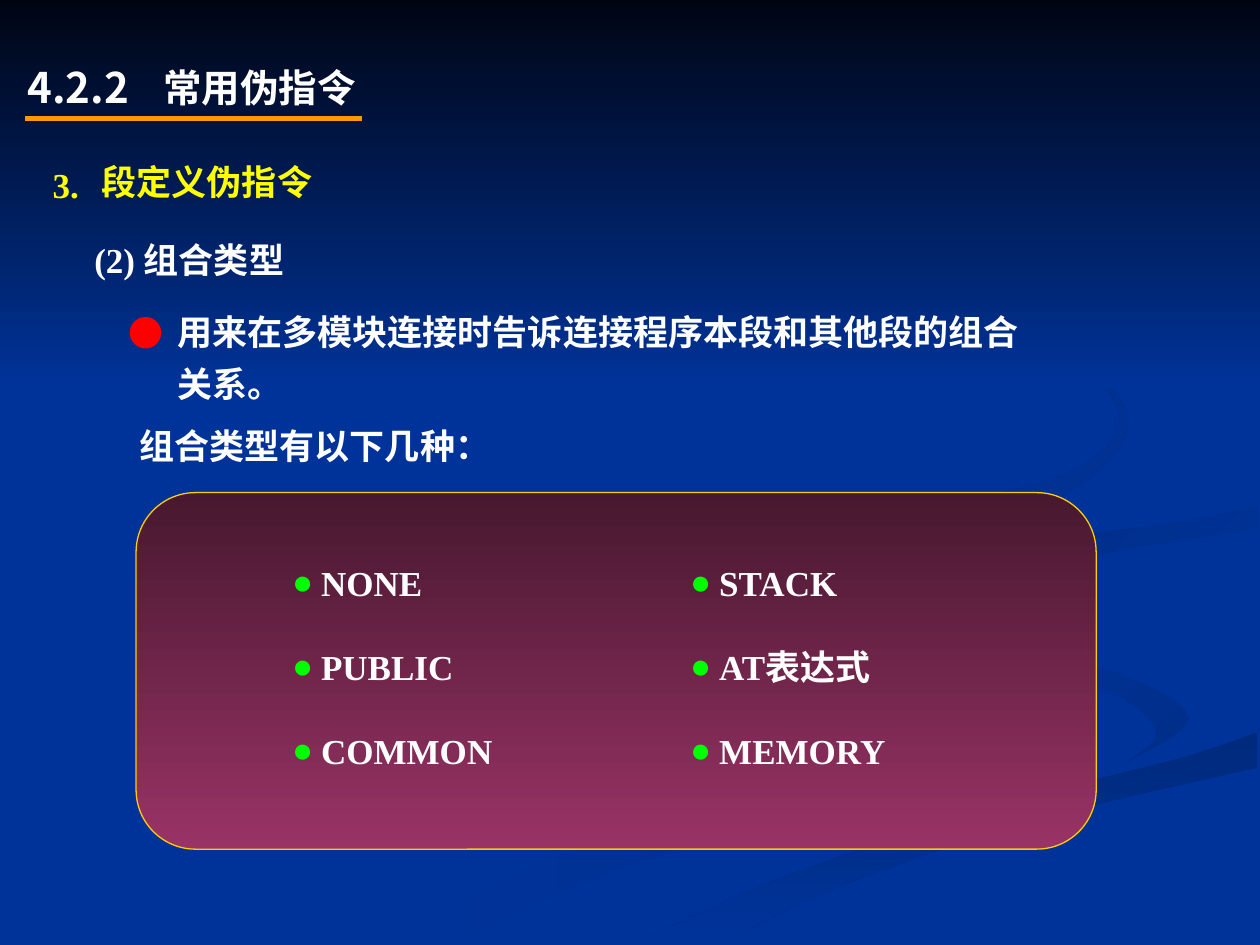
from dataclasses import dataclass

from lxml import etree
from pptx import Presentation
from pptx.dml.color import RGBColor
from pptx.enum.shapes import MSO_CONNECTOR, MSO_SHAPE
from pptx.enum.text import MSO_ANCHOR
from pptx.oxml.ns import qn
from pptx.util import Inches, Pt

LINE = MSO_CONNECTOR.STRAIGHT
RECT, ROUND = MSO_SHAPE.RECTANGLE, MSO_SHAPE.ROUNDED_RECTANGLE
TOP, MID = MSO_ANCHOR.TOP, MSO_ANCHOR.MIDDLE
SERIF, SANS = "Times New Roman", "Noto Sans CJK SC"
STEPS = 5
COLORS = {
    "blue": "003399", "night": "000514", "white": "FFFFFF", "yellow": "FFFF00",
    "red": "FF0000", "green": "00FF00", "orange": "FF9900", "gold": "FFCC00",
    "plum": "47182F", "rose": "993366", "wave1": "002E8B", "wave2": "002A7D",
    "wave3": "002D86", "wave4": "002B82",
}


@dataclass
class Wave:
    """A band between two smooth edges, with a two-colour fill."""
    start: str
    end: str
    angle: int
    outer: list
    inner: list


@dataclass
class Label:
    """One line of text and its place."""
    text: str
    left: float
    top: float
    width: float
    height: float
    size: int = 20
    color: str = "white"
    font: str = SERIF
    anchor: object = TOP


@dataclass
class Column:
    """A bulleted list of type names."""
    left: float
    items: list


WAVES = [
    Wave("blue", "wave1", 0,
         [(7.81, 5.53), (8, 5.81), (7.4, 6.18), (4.99, 6.87), (3.61, 7.49)],
         [(3, 7.49), (4.58, 6.74), (7.27, 6.02), (7.86, 5.66), (7.81, 5.53)]),
    Wave("blue", "wave1", 45,
         [(7.24, 4.64), (7.58, 4.98), (8.88, 5.35), (9.43, 5.7), (8.94, 6.05)],
         [(8.94, 6.05), (9.18, 5.81), (8.8, 5.49), (7.66, 5.12), (7.24, 4.64)]),
    Wave("wave2", "blue", 90,
         [(5.03, 7.49), (6.3, 6.93), (7.97, 6.38), (9.36, 6.02), (9.98, 5.81)],
         [(9.98, 6.09), (8.21, 6.51), (6.7, 7.02), (5.71, 7.49)]),
    Wave("wave3", "blue", 45,
         [(8.26, 4.96), (7.81, 4.6), (8.35, 4.3), (9.33, 4.15), (9.98, 4.02)],
         [(9.98, 4.2), (8.78, 4.39), (8.06, 4.68), (8.26, 4.96)]),
    Wave("wave4", "blue", 45,
         [(7.62, 2.33), (8.64, 2.91), (8.94, 3.44), (8.25, 4.02), (6.83, 4.3),
          (5.93, 4.7), (6.22, 5)],
         [(6.22, 5), (5.77, 4.62), (6.49, 4.2), (8.3, 3.82), (8.89, 3.35),
          (8.46, 2.79), (7.62, 2.33)]),
]
LABELS = [
    Label("4.2.2", 0.12, 0.44, 1.08, 0.5, size=24, font=SANS),
    Label("常用伪指令", 1.2, 0.44, 2.17, 0.5, size=22, font=SANS, anchor=MID),
    Label("3.", 0.32, 1.25, 0.75, 0.44, color="yellow"),
    Label("段定义伪指令", 0.71, 1.23, 2.17, 0.42, color="yellow", anchor=MID),
    Label("(2) 组合类型", 0.65, 1.86, 2.07, 0.4, anchor=MID),
    Label("组合类型有以下几种：", 1.01, 3.32, 3.2, 0.44),
]
COLUMNS = [
    Column(2.22, ["NONE", "PUBLIC", "COMMON"]),
    Column(5.38, ["STACK", "AT表达式", "MEMORY"]),
]


def shade(shape, start: str, end: str, angle: int) -> None:
    """Fill a shape with a linear gradient, angle clockwise."""
    shape.shadow.inherit = False
    shape.fill.gradient()
    shape.fill.gradient_angle = -angle % 360
    for stop, name in zip(shape.fill.gradient_stops, (start, end)):
        stop.color.rgb = RGBColor.from_string(COLORS[name])


def blend(a: float, b: float, c: float, d: float, t: float) -> float:
    """Return a Catmull-Rom value between b and c."""
    return b + t * (c - a + t * (2 * a - 5 * b + 4 * c - d
                                 + t * (3 * (b - c) + d - a))) / 2


def smooth(edge: list) -> list:
    """Return points along a smooth curve through the edge."""
    full = [edge[0], *edge, edge[-1]]
    curve = [tuple(blend(*axis, step / STEPS) for axis in zip(*full[i:i + 4]))
             for i in range(len(edge) - 1) for step in range(STEPS)]
    return curve + [edge[-1]]


def draw_wave(slide, wave: Wave) -> None:
    """Draw one background band."""
    points = [(Inches(x), Inches(y))
              for x, y in smooth(wave.outer) + smooth(wave.inner)]
    pen = slide.shapes.build_freeform(*points[0])
    pen.add_line_segments(points[1:])
    shape = pen.convert_to_shape()
    shade(shape, wave.start, wave.end, wave.angle)
    shape.line.fill.background()


def draw_box(slide, kind, place: tuple, start: str, end: str):
    """Draw a preset shape shaded from top to bottom."""
    shape = slide.shapes.add_shape(kind, *map(Inches, place))
    shade(shape, start, end, 90)
    return shape


def add_mark(para, color: str, font: str, indent: float) -> None:
    """Give a paragraph a round bullet with a hanging indent."""
    props = para._p.get_or_add_pPr()
    props.set("marL", str(Inches(indent)))
    props.set("indent", str(-Inches(indent)))
    tint = etree.SubElement(props, qn("a:buClr"))
    etree.SubElement(tint, qn("a:srgbClr"), val=COLORS[color])
    etree.SubElement(props, qn("a:buFont"), typeface=font)
    etree.SubElement(props, qn("a:buChar"), char="●")


def add_text(slide, lines: list, place: tuple, size=20, color="white", font=SERIF,
             anchor=TOP, mark=None, space=None, gap=0) -> None:
    """Add a bold text box; mark holds bullet colour, font and indent."""
    frame = slide.shapes.add_textbox(*map(Inches, place)).text_frame
    frame.word_wrap = True
    frame.vertical_anchor = anchor
    for i, line in enumerate(lines):
        para = frame.add_paragraph() if i else frame.paragraphs[0]
        para.text = line
        if space:
            para.line_spacing = space
        if i and gap:
            para.space_before = Pt(gap)
        if mark:
            add_mark(para, *mark)
        for run in para.runs:
            run.font.size, run.font.bold, run.font.name = Pt(size), True, font
            run.font.color.rgb = RGBColor.from_string(COLORS[color])
            east = etree.Element(qn("a:ea"), typeface=SANS)
            run.font._element.find(qn("a:latin")).addnext(east)


def draw_rule(slide, left: float, right: float, y: float) -> None:
    """Draw the line under the heading."""
    ends = map(Inches, (left, y, right, y))
    rule = slide.shapes.add_connector(LINE, *ends)
    rule.line.color.rgb = RGBColor.from_string(COLORS["orange"])
    rule.line.width = Pt(3)
    etree.SubElement(rule._element.spPr, qn("a:effectLst"))


def main() -> None:
    """Build the slide and save it."""
    deck = Presentation()
    deck.slide_width, deck.slide_height = Inches(10), Inches(7.5)
    slide = deck.slides.add_slide(deck.slide_layouts[6])
    slide.background.fill.solid()
    slide.background.fill.fore_color.rgb = RGBColor.from_string(COLORS["blue"])
    for wave in WAVES:
        draw_wave(slide, wave)
    draw_box(slide, RECT, (0, 0, 10, 3.08), "night", "blue").line.fill.background()
    for item in LABELS:
        add_text(slide, [item.text], (item.left, item.top, item.width, item.height),
                 size=item.size, color=item.color, font=item.font, anchor=item.anchor)
    draw_rule(slide, 0.2, 2.87, 0.94)
    add_text(slide, ["用来在多模块连接时告诉连接程序本段和其他段的组合\v关系。"],
             (0.92, 2.33, 8, 0.94), mark=("red", SANS, 0.39), space=1.25)
    panel = draw_box(slide, ROUND, (1.08, 3.91, 7.62, 2.83), "plum", "rose")
    panel.line.color.rgb = RGBColor.from_string(COLORS["gold"])
    panel.line.width = Pt(0.75)
    for col in COLUMNS:
        add_text(slide, col.items, (col.left, 4.41, 2, 1.77),
                 mark=("green", SERIF, 0.23), space=Pt(24), gap=24)
    deck.save("out.pptx")


if __name__ == "__main__":
    main()
